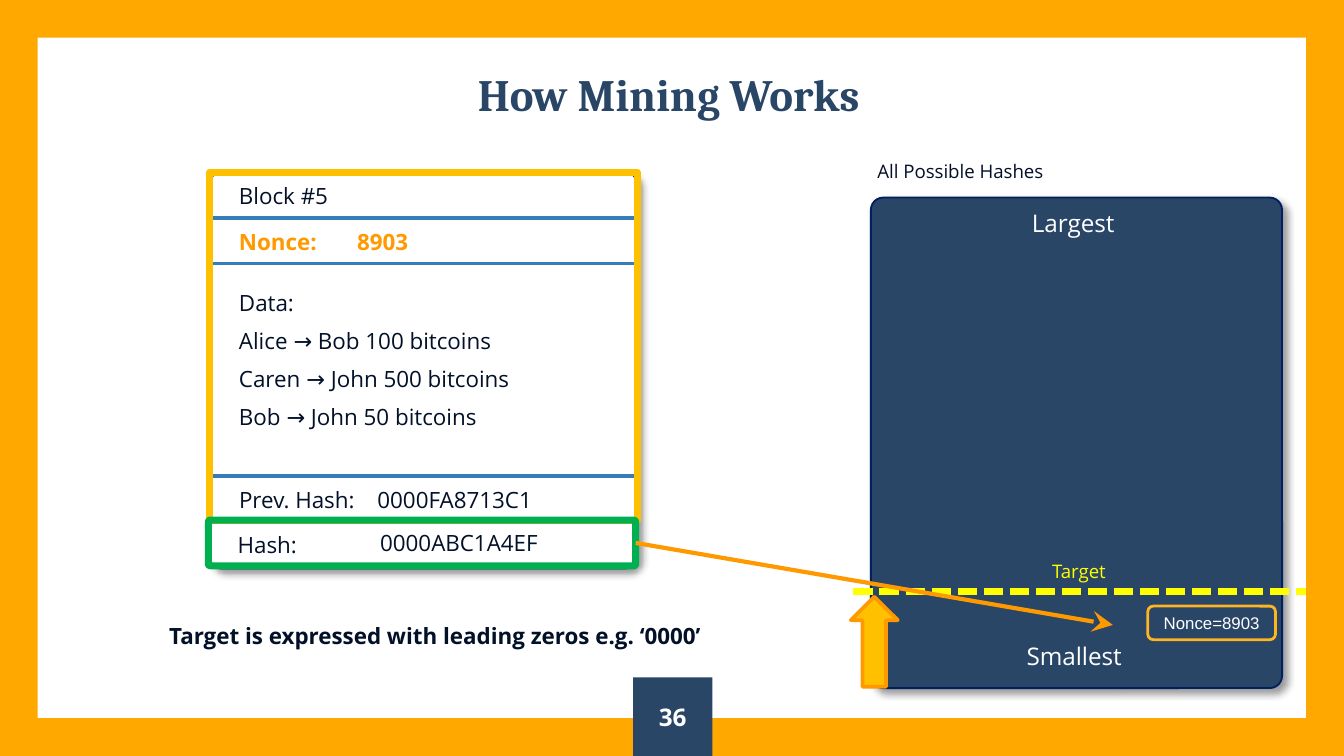
import pptx
import pptx.util
import pptx.dml.color
import pptx.enum.dml
import pptx.enum.shapes
import pptx.enum.text
import pptx.oxml
import pptx.oxml.ns

Inches = pptx.util.Inches
Pt = pptx.util.Pt
RGBColor = pptx.dml.color.RGBColor
Shape = pptx.enum.shapes.MSO_SHAPE
Align = pptx.enum.text.PP_ALIGN
Anchor = pptx.enum.text.MSO_ANCHOR

WHITE = RGBColor(0xFF, 0xFF, 0xFF)
NAVY = RGBColor(0x29, 0x46, 0x67)
EDGE = RGBColor(0x00, 0x20, 0x60)
INK = RGBColor(0x02, 0x10, 0x28)
BLUE = RGBColor(0x36, 0x7E, 0xB9)
AMBER = RGBColor(0xFF, 0xA8, 0x00)
GOLD = RGBColor(0xFF, 0xC0, 0x00)
SAND = RGBColor(0xFF, 0xB4, 0x24)
ORANGE = RGBColor(0xFF, 0x99, 0x00)
YELLOW = RGBColor(0xFF, 0xFF, 0x00)
GREEN = RGBColor(0x00, 0xB0, 0x50)

WIDTH = 10
HEIGHT = WIDTH * 9 / 16
LEFT, RIGHT = 1.56, 4.73
TEXT_LEFT = 1.68


def make_xml(tag, attrs="", inner=""):
    space = pptx.oxml.ns.nsdecls("a")
    return pptx.oxml.parse_xml(f"<a:{tag} {space} {attrs}>{inner}</a:{tag}>")


def write(frame, text, size=12, font="Open Sans", color=INK, bold=False,
          align=Align.LEFT, anchor=Anchor.TOP, gap=0, wrap=True, tab=None):
    """Fill a text frame, one paragraph a line, with gap points between."""
    frame.word_wrap = wrap
    frame.vertical_anchor = anchor
    frame.text = text
    for i, para in enumerate(frame.paragraphs):
        if tab:
            stop = f'<a:tab pos="{Inches(tab)}" algn="l"/>'
            para._p.get_or_add_pPr().append(make_xml("tabLst", inner=stop))
        para.alignment = align
        if i:
            para.space_before = Pt(gap)
        for run in para.runs:
            run.font.size = Pt(size)
            run.font.name = font
            run.font.bold = bold
            run.font.color.rgb = color


def add_label(slide, x, y, w, text, h=0.3, **style):
    box = slide.shapes.add_textbox(Inches(x), Inches(y), Inches(w), Inches(h))
    write(box.text_frame, text, **style)


def add_box(slide, kind, x, y, w, h, fill=None, line=None, width=1, adjust=None):
    box = slide.shapes.add_shape(kind, Inches(x), Inches(y), Inches(w), Inches(h))
    box.shadow.inherit = False
    if adjust is not None:
        box.adjustments[0] = adjust
    if fill is None:
        box.fill.background()
    else:
        box.fill.solid()
        box.fill.fore_color.rgb = fill
    if line is None:
        box.line.fill.background()
    else:
        box.line.color.rgb = line
        box.line.width = Pt(width)
    return box


def add_card(slide, x, y, w, h, fill):
    """Add a rounded panel with a soft shadow to its lower right."""
    card = add_box(slide, Shape.ROUNDED_RECTANGLE, x, y, w, h, fill, EDGE, adjust=0.03)
    effects = card._element.spPr.find(pptx.oxml.ns.qn("a:effectLst"))
    effects.append(make_xml(
        "outerShdw",
        f'blurRad="{Pt(4)}" dist="{Pt(3)}" dir="2700000" algn="tl" rotWithShape="0"',
        '<a:srgbClr val="000000"><a:alpha val="40000"/></a:srgbClr>'))


def add_line(slide, x1, y1, x2, y2, color, width):
    line = slide.shapes.add_connector(
        pptx.enum.shapes.MSO_CONNECTOR.STRAIGHT,
        Inches(x1), Inches(y1), Inches(x2), Inches(y2))
    line.line.color.rgb = color
    line.line.width = Pt(width)
    line._element.spPr.append(make_xml("effectLst"))
    return line


def add_head(line):
    line.line._get_or_add_ln().append(
        make_xml("tailEnd", 'type="stealth" w="lg" len="lg"'))


def add_title(slide, text):
    title = slide.shapes.title
    title.left, title.top = Inches(0.46), Inches(0.36)
    title.width, title.height = Inches(9.03), Inches(0.64)
    frame = title.text_frame
    frame.margin_top = frame.margin_bottom = Inches(0.1)
    write(frame, text, size=24, font="Cambria", color=NAVY, bold=True,
          align=Align.CENTER, anchor=Anchor.BOTTOM)


def add_border(slide):
    add_box(slide, Shape.FRAME, 0, 0, WIDTH, HEIGHT, AMBER, adjust=0.05)
    page = add_box(slide, Shape.RECTANGLE, 4.71, 5.04, 0.59, HEIGHT - 5.04, NAVY)
    write(page.text_frame, "36", size=13, color=WHITE, bold=True,
          align=Align.CENTER, anchor=Anchor.MIDDLE)


def add_hashes(slide):
    """Add the panel of all hashes with its target line."""
    add_card(slide, 6.48, 1.47, 3.06, 3.65, NAVY)
    add_label(slide, 6.43, 1.14, 1.5, "All Possible Hashes", h=0.27, size=10)
    add_label(slide, 7.58, 1.5, 0.86, "Largest", h=0.32, size=13, color=WHITE)
    add_label(slide, 7.54, 4.72, 0.94, "Smallest", h=0.32, size=13, color=WHITE)
    add_box(slide, Shape.UP_ARROW, 6.33, 4.44, 0.35, 0.67, GOLD, ORANGE, 2)
    target = add_line(slide, 6.35, 4.4, 9.72, 4.4, YELLOW, 3.5)
    target.line.dash_style = pptx.enum.dml.MSO_LINE.SQUARE_DOT
    add_label(slide, 7.73, 4.12, 0.63, "Target", h=0.27, size=10, color=YELLOW)


def add_block(slide):
    """Add the block with its fields and return the outline of its hash."""
    add_card(slide, LEFT, 1.28, 3.18, 2.95, WHITE)
    for y in (1.62, 1.96, 3.54, 3.88):
        add_line(slide, LEFT, y, RIGHT, y, BLUE, 2)
    add_label(slide, TEXT_LEFT, 1.31, 1.04, "Block #5")
    add_label(slide, TEXT_LEFT, 2.1, 2.93,
              "Data:\nAlice → Bob 100 bitcoins\nCaren → John 500 bitcoins\n"
              "Bob → John 50 bitcoins", h=1.37, gap=6)
    add_label(slide, TEXT_LEFT, 3.57, 2.98, "Prev. Hash:\t0000FA8713C1", tab=1.03)
    for x, text in ((TEXT_LEFT, "Nonce:"), (2.56, "8903")):
        add_label(slide, x, 1.65, 0.97, text, color=ORANGE, bold=True)
    add_box(slide, Shape.ROUNDED_RECTANGLE, LEFT, 1.28, 3.18, 2.59,
            line=GOLD, width=3.75, adjust=0)
    outline = add_box(slide, Shape.ROUNDED_RECTANGLE, 1.55, 3.87, 3.18, 0.34,
                      line=GREEN, width=3.75, adjust=0.04)
    add_label(slide, 1.67, 3.9, 0.74, "Hash:")
    add_label(slide, 2.73, 3.89, 1.61, "0000ABC1A4EF")
    return outline


def add_match(slide, outline):
    """Point from the hash to its place below the target."""
    nonce = add_box(slide, Shape.ROUNDED_RECTANGLE, 8.54, 4.51, 0.95, 0.25,
                    line=SAND, width=1.5)
    write(nonce.text_frame, "Nonce=8903", size=9, font="Arial", color=WHITE,
          align=Align.CENTER, anchor=Anchor.MIDDLE, wrap=False)
    arrow = add_line(slide, RIGHT, 4.04, 8.28, 4.65, ORANGE, 2.25)
    arrow.begin_connect(outline, 3)
    add_head(arrow)


def main():
    deck = pptx.Presentation()
    deck.slide_width, deck.slide_height = Inches(WIDTH), Inches(HEIGHT)
    slide = deck.slides.add_slide(deck.slide_layouts[5])
    add_border(slide)
    add_title(slide, "How Mining Works")
    add_hashes(slide)
    add_label(slide, 1.16, 4.58, 4.32,
              "Target is expressed with leading zeros e.g. ‘0000’", bold=True)
    outline = add_block(slide)
    add_match(slide, outline)
    deck.save("out.pptx")


if __name__ == "__main__":
    main()
